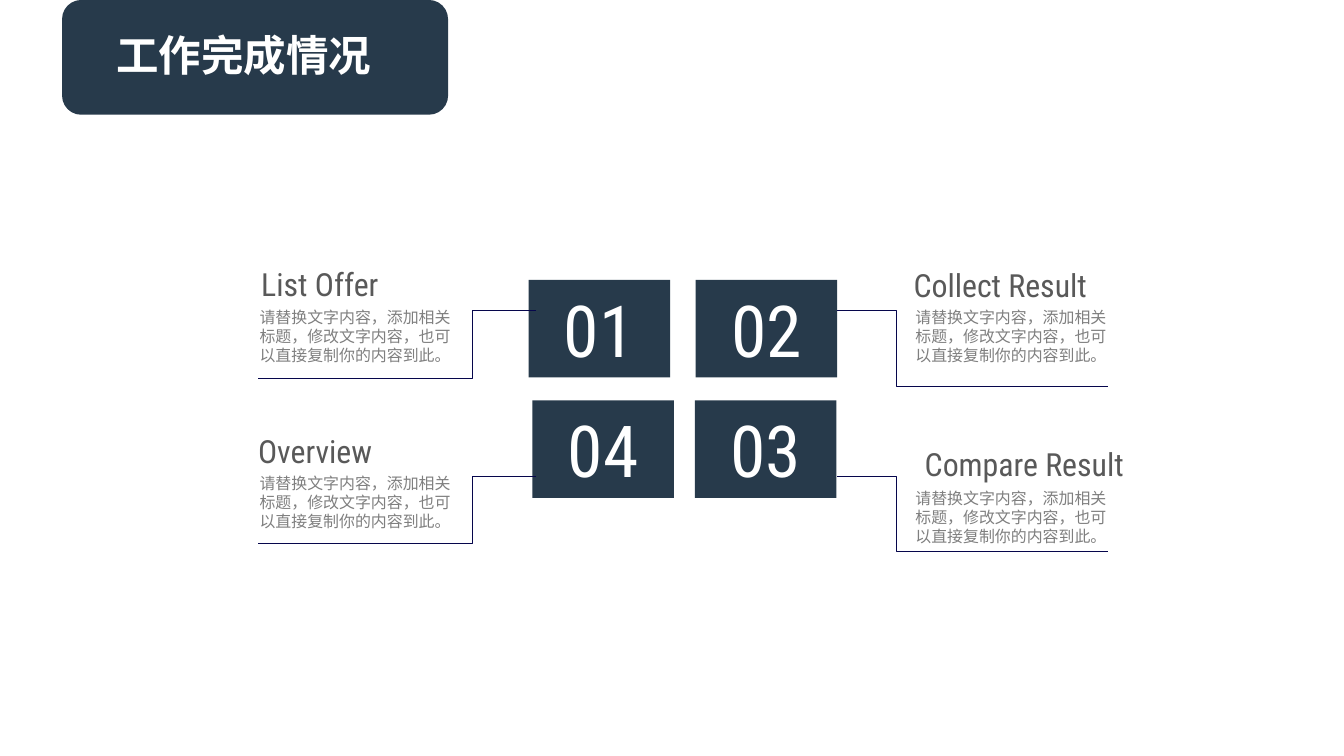
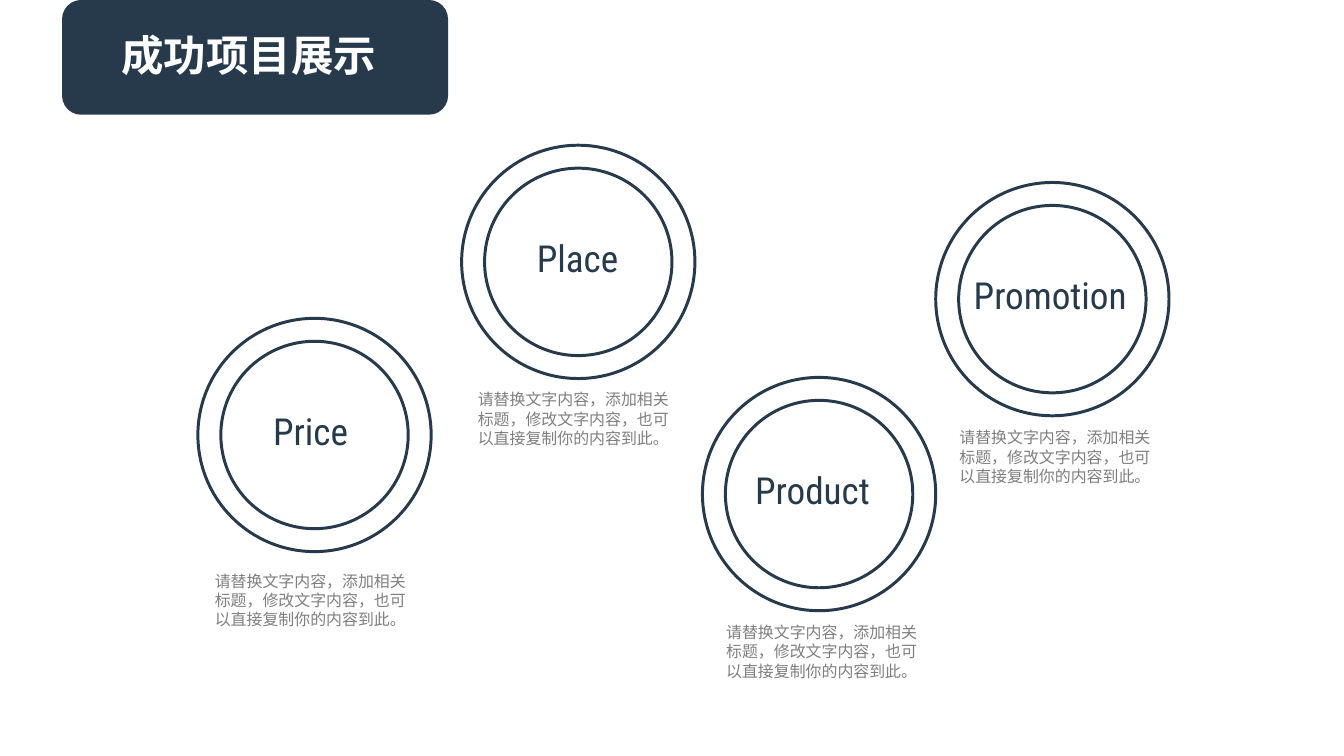
from dataclasses import dataclass

from lxml import etree
from pptx import Presentation
from pptx.dml.color import RGBColor
from pptx.enum import shapes, text
from pptx.oxml import ns
from pptx.util import Cm, Pt

ALIGN = text.PP_ALIGN
PLACEHOLDER_TEXT = "请替换文字内容，添加相关标题，修改文字内容，也可以直接复制你的内容到此。"


@dataclass(frozen=True)
class TextStyle:
    size: float
    color: str
    font: str = "Roboto Condensed"
    bold: bool = False


@dataclass(frozen=True)
class Theme:
    navy: str = "273A4B"
    connector: str = "06064C"
    thin: float = 0.5
    thick: float = 2.25
    title: TextStyle = TextStyle(32, "FFFFFF", "Noto Sans CJK SC", True)
    number: TextStyle = TextStyle(54, "FFFFFF")
    heading: TextStyle = TextStyle(24, "595959")
    label: TextStyle = TextStyle(28, "273A4B")
    body: TextStyle = TextStyle(12, "7F7F7F", "Noto Sans CJK SC")


class Deck:
    def __init__(self, theme):
        self.theme = theme
        self.presentation = Presentation()
        self.presentation.slide_width = Cm(35.72)
        self.presentation.slide_height = Cm(20.09)
        self.layout = self.presentation.slide_layouts.get_by_name("Title Only")
        self.slide = None

    def add_slide(self, title, title_left):
        self.slide = self.presentation.slides.add_slide(self.layout)
        placeholder = self.slide.shapes.title
        placeholder.left, placeholder.top = Cm(title_left), Cm(0.64)
        placeholder.width, placeholder.height = Cm(7.29), Cm(1.6)
        self.set_text(placeholder, title, self.theme.title)
        frame = placeholder.text_frame
        frame.vertical_anchor = text.MSO_ANCHOR.TOP
        frame.auto_size = text.MSO_AUTO_SIZE.SHAPE_TO_FIT_TEXT
        frame.word_wrap = False
        band = self.shape(shapes.MSO_SHAPE.ROUNDED_RECTANGLE,
                          1.65, 0, 10.26, 3.05, fill=self.theme.navy)
        # The band goes behind the title.
        placeholder._element.addprevious(band._element)

    def set_text(self, shape, content, style, align=ALIGN.LEFT):
        """Put styled text into a shape, with one font for Latin and Chinese."""
        shape.text_frame.text = content
        for paragraph in shape.text_frame.paragraphs:
            paragraph.alignment = align
            for run in paragraph.runs:
                run.font.size = Pt(style.size)
                run.font.bold = style.bold
                run.font.color.rgb = RGBColor.from_string(style.color)
                run.font.name = style.font
                etree.SubElement(run.font._element, ns.qn("a:ea"), typeface=style.font)

    def shape(self, kind, left, top, width, height, fill=None, line=None):
        shape = self.slide.shapes.add_shape(
            kind, Cm(left), Cm(top), Cm(width), Cm(height))
        shape.shadow.inherit = False
        if fill:
            shape.fill.solid()
            shape.fill.fore_color.rgb = RGBColor.from_string(fill)
        else:
            shape.fill.background()
        if line:
            shape.line.color.rgb = RGBColor.from_string(line)
            shape.line.width = Pt(self.theme.thick)
        else:
            shape.line.fill.background()
        return shape

    def number_card(self, number, left, top):
        card = self.shape(shapes.MSO_SHAPE.RECTANGLE, left, top, 3.76, 2.59,
                          fill=self.theme.navy)
        self.set_text(card, number, self.theme.number, ALIGN.CENTER)

    def text_box(self, content, style, left, top, width, height, align=ALIGN.LEFT):
        box = self.slide.shapes.add_textbox(Cm(left), Cm(top), Cm(width), Cm(height))
        self.set_text(box, content, style, align)
        box.text_frame.word_wrap = True
        box.text_frame.auto_size = text.MSO_AUTO_SIZE.SHAPE_TO_FIT_TEXT
        return box

    def caption(self, content, style, left, top, align=ALIGN.LEFT):
        """Add a one-line text without inner margins."""
        frame = self.text_box(content, style, left, top, 6.2, 1.02, align).text_frame
        frame.margin_left = frame.margin_right = 0
        frame.margin_top = frame.margin_bottom = 0

    def body(self, left, top):
        self.text_box(PLACEHOLDER_TEXT, self.theme.body, left, top, 5.79, 1.8)

    def elbow(self, start, end, bend):
        """Draw a bent line that turns at the given share of its width."""
        connector = self.slide.shapes.add_connector(
            shapes.MSO_CONNECTOR.ELBOW, *(Cm(value) for value in (*start, *end)))
        connector.line.color.rgb = RGBColor.from_string(self.theme.connector)
        connector.line.width = Pt(self.theme.thin)
        properties = connector._element.spPr
        geometry = properties.find(ns.qn("a:prstGeom"))
        guides = geometry.find(ns.qn("a:avLst"))
        if guides is None:
            guides = etree.SubElement(geometry, ns.qn("a:avLst"))
        etree.SubElement(guides, ns.qn("a:gd"), name="adj1",
                         fmla=f"val {round(bend * 100000)}")
        etree.SubElement(properties, ns.qn("a:effectLst"))

    def double_ring(self, left, top):
        outer, gap = 6.2, 0.61
        for inset in (0, gap):
            diameter = outer - 2 * inset
            self.shape(shapes.MSO_SHAPE.FLOWCHART_CONNECTOR, left + inset,
                       top + inset, diameter, diameter, line=self.theme.navy)


def add_progress_slide(deck):
    deck.add_slide("工作完成情况", 2.84)
    for number, left, top in (("01", 14.05, 7.44), ("02", 18.49, 7.44),
                              ("03", 18.47, 10.64), ("04", 14.15, 10.64)):
        deck.number_card(number, left, top)

    for heading, left, top, align, body_left, body_top in (
            ("List Offer", 3.86, 7.04, ALIGN.RIGHT, 6.65, 8.05),
            ("Overview", 6.86, 11.46, ALIGN.LEFT, 6.65, 12.45),
            ("Collect Result", 24.28, 7.06, ALIGN.LEFT, 24.08, 8.05),
            ("Compare Result", 23.67, 11.81, ALIGN.RIGHT, 24.08, 12.85)):
        deck.caption(heading, deck.theme.heading, left, top, align)
        deck.body(body_left, body_top)

    for start, end, drop, bend in ((14.25, 6.86, 1.8, 0.23),
                                   (22.25, 29.46, 2, 0.22)):
        for top in (8.26, 12.65):
            deck.elbow((start, top), (end, top + drop), bend)


def add_projects_slide(deck):
    deck.add_slide("成功项目展示", 2.97)
    label_drop = 2.39
    for label, left, top, label_left, body_left, body_top in (
            ("Price", 5.26, 8.46, 7.26, 5.46, 15.06),
            ("Place", 12.27, 3.86, 14.27, 12.45, 10.24),
            ("Product", 18.67, 10.03, 20.07, 19.05, 16.43),
            ("Promotion", 24.87, 4.85, 25.88, 25.25, 11.25)):
        deck.double_ring(left, top)
        deck.caption(label, deck.theme.label, label_left, top + label_drop)
        deck.body(body_left, body_top)


def main():
    deck = Deck(Theme())
    add_progress_slide(deck)
    add_projects_slide(deck)
    deck.presentation.save("out.pptx")


if __name__ == "__main__":
    main()
